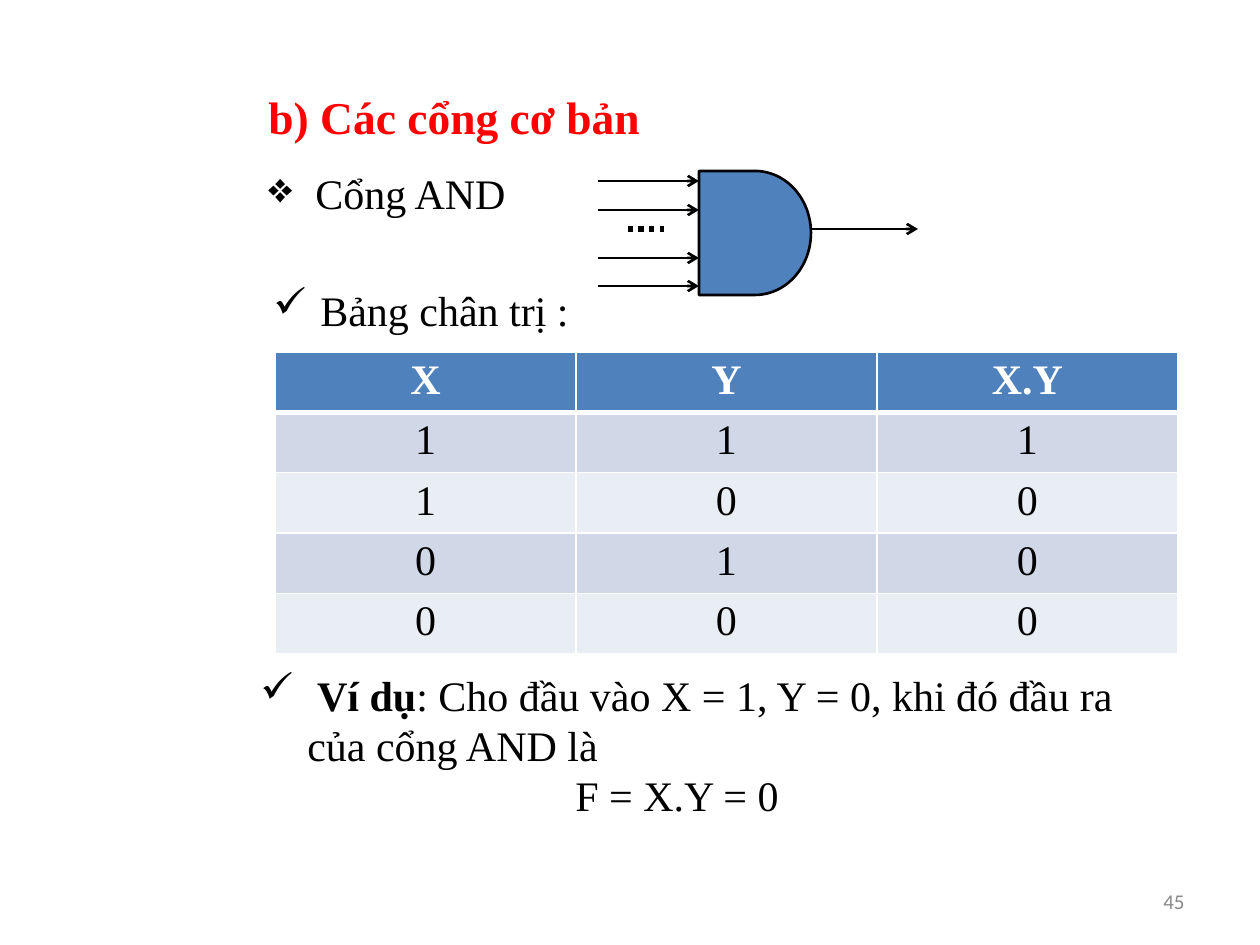
from dataclasses import dataclass, field
from pptx import Presentation
from pptx.dml.color import RGBColor
from pptx.enum.dml import MSO_LINE
from pptx.enum.shapes import MSO_CONNECTOR, MSO_SHAPE
from pptx.enum.text import MSO_ANCHOR, PP_ALIGN
from pptx.oxml.ns import qn
from pptx.util import Emu, Pt
from lxml.etree import SubElement

DPI = 126
COLORS = {"black": "000000", "white": "FFFFFF", "red": "FF0000", "gray": "898989",
          "blue": "4F81BD", "dark": "D0D8E8", "light": "E9EDF4"}
BODY = {"name": "Times New Roman", "size": Pt(24), "bold": False}
STRONG = BODY | {"bold": True}
TITLE = STRONG | {"size": Pt(26)}
SMALL = {"name": "Calibri", "size": Pt(12)}


@dataclass
class Span:
    text: str
    style: dict = field(default_factory=lambda: BODY)
    color: str = "black"


@dataclass
class Para:
    spans: list[Span]
    bullet: str = ""
    indent: int = 0
    align: PP_ALIGN = PP_ALIGN.LEFT


@dataclass
class Label:
    box: tuple[int, int, int, int]
    paras: list[Para]
    anchor: MSO_ANCHOR = MSO_ANCHOR.TOP


@dataclass
class Wire:
    start: tuple[int, int]
    end: tuple[int, int]
    dotted: bool = False


LABELS = [
    Label((256, 83, 444, 68), [Para([Span("b) Các cổng cơ bản", TITLE, "red")])]),
    Label((256, 161, 944, 63), [Para([Span("Cổng AND")], "❖", 47)]),
    Label((261, 278, 396, 102), [Para([Span("Bảng chân trị :")], "✓", 47)]),
    Label((248, 663, 936, 165), [
        Para([Span(" Ví dụ", STRONG),
              Span(": Cho đầu vào X = 1, Y = 0, khi đó đầu ra của cổng AND là")], "✓", 47),
        Para([Span("F = X.Y = 0")], indent=315)]),
    Label((903, 876, 294, 50),
          [Para([Span("45", SMALL, "gray")], align=PP_ALIGN.RIGHT)], MSO_ANCHOR.MIDDLE),
]
GATE = (699, 171, 112, 124)
WIRES = [Wire((598, y), (699, y)) for y in (181, 210, 258, 286)]
WIRES += [Wire((628, 229), (664, 229), dotted=True), Wire((811, 229), (918, 229))]
TABLE = (275, 352, 903, 302)
ROWS = [("X", "Y", "X.Y")] + [(str(x), str(y), str(x * y)) for x in (1, 0) for y in (1, 0)]


def px(*sizes: int) -> list[Emu]:
    return [Emu(round(size * 914400 / DPI)) for size in sizes]


def rgb(color: str) -> RGBColor:
    return RGBColor.from_string(COLORS[color])


def write(para, data: Para) -> None:
    para.alignment = data.align
    props = para._p.get_or_add_pPr()
    indent, = px(data.indent)
    props.set("marL", str(indent))
    props.set("indent", str(-indent if data.bullet else 0))
    if data.bullet:
        SubElement(props, qn("a:buChar"), char=data.bullet)
    for span in data.spans:
        run = para.add_run()
        run.text = span.text
        for name, value in span.style.items():
            setattr(run.font, name, value)
        run.font.color.rgb = rgb(span.color)


def add_label(slide, label: Label) -> None:
    frame = slide.shapes.add_textbox(*px(*label.box)).text_frame
    frame.word_wrap = True
    frame.vertical_anchor = label.anchor
    for i, data in enumerate(label.paras):
        write(frame.add_paragraph() if i else frame.paragraphs[0], data)


def add_gate(slide) -> None:
    gate = slide.shapes.add_shape(MSO_SHAPE.FLOWCHART_DELAY, *px(*GATE))
    gate.shadow.inherit = False
    gate.fill.solid()
    gate.fill.fore_color.rgb = rgb("blue")
    gate.line.color.rgb = rgb("black")
    gate.line.width = Pt(1.5)


def add_wire(slide, wire: Wire) -> None:
    link = slide.shapes.add_connector(MSO_CONNECTOR.STRAIGHT, *px(*wire.start, *wire.end))
    link.line.color.rgb = rgb("black")
    link.line.width = Pt(3 if wire.dotted else 1.5)
    if wire.dotted:
        link.line.dash_style = MSO_LINE.ROUND_DOT
    else:
        SubElement(link.line._get_or_add_ln(), qn("a:tailEnd"), type="arrow")
    SubElement(link._element.spPr, qn("a:effectLst"))


def add_edges(cell, widths: dict[str, int]) -> None:
    """Draw white borders; widths maps each side to points."""
    props = cell._tc.get_or_add_tcPr()
    for side, width in widths.items():
        edge = SubElement(props, qn(f"a:ln{side}"), w=str(Pt(width)))
        fill = SubElement(edge, qn("a:solidFill"))
        SubElement(fill, qn("a:srgbClr"), val=COLORS["white"])


def add_truth(slide) -> None:
    """Add the truth table of the gate."""
    table = slide.shapes.add_table(len(ROWS), len(ROWS[0]), *px(*TABLE)).table
    side, edge = px(9, 5)
    pads = {"margin_left": side, "margin_right": side,
            "margin_top": edge, "margin_bottom": edge}
    for r, row in enumerate(ROWS):
        head = r == 0
        fill = "blue" if head else "dark" if r % 2 else "light"
        style, color = (STRONG, "white") if head else (BODY, "black")
        for c, text in enumerate(row):
            cell = table.cell(r, c)
            for name, value in pads.items():
                setattr(cell, name, value)
            add_edges(cell, {"L": 1, "R": 1, "T": 3 if r == 1 else 1, "B": 3 if head else 1})
            cell.fill.solid()
            cell.fill.fore_color.rgb = rgb(fill)
            write(cell.text_frame.paragraphs[0],
                  Para([Span(text, style, color)], align=PP_ALIGN.CENTER))


def main() -> None:
    deck = Presentation()
    deck.slide_width, deck.slide_height = px(1260, 945)
    slide = deck.slides.add_slide(deck.slide_layouts[6])
    add_gate(slide)
    for wire in WIRES:
        add_wire(slide, wire)
    add_truth(slide)
    for label in LABELS:
        add_label(slide, label)
    deck.save("out.pptx")


if __name__ == "__main__":
    main()
